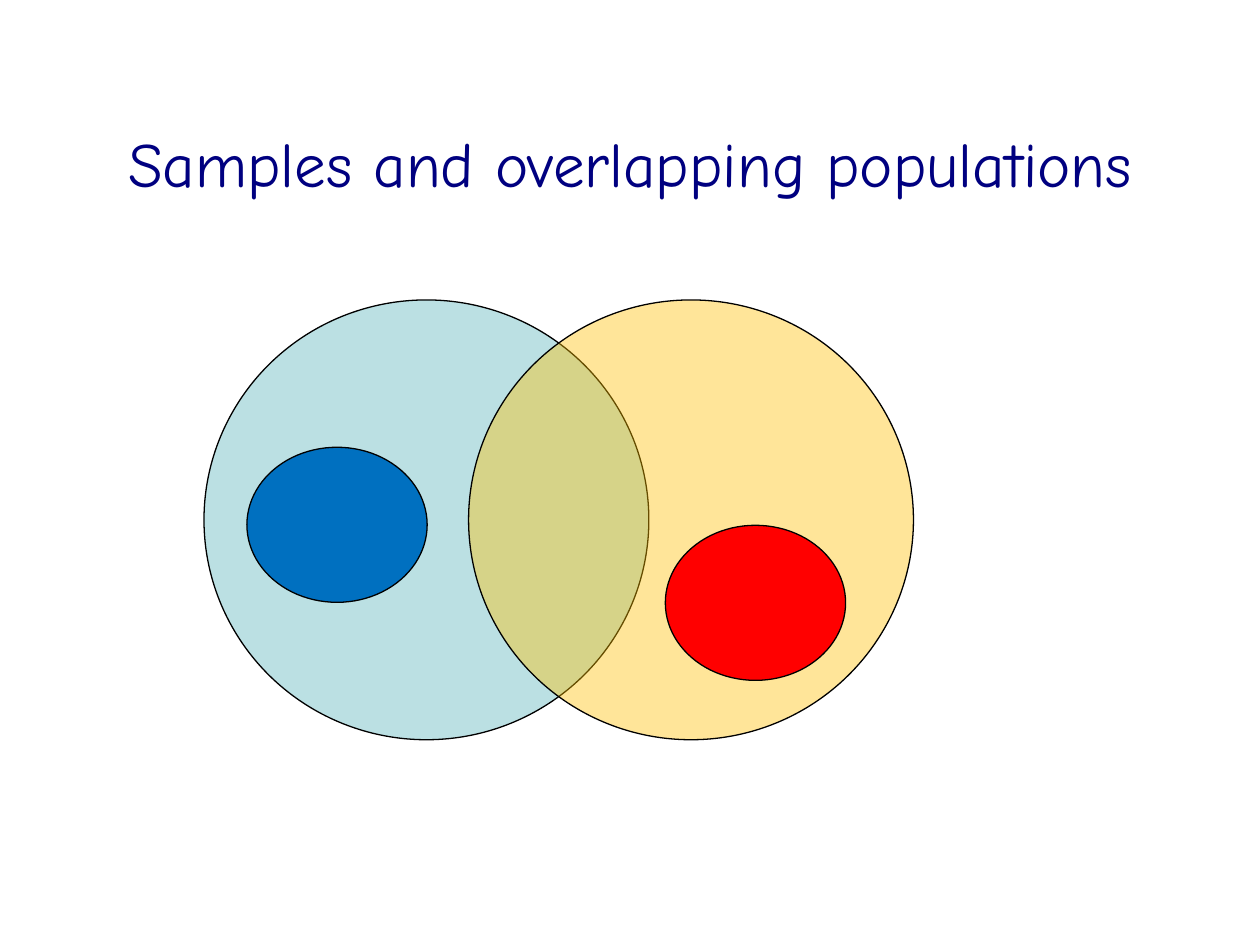
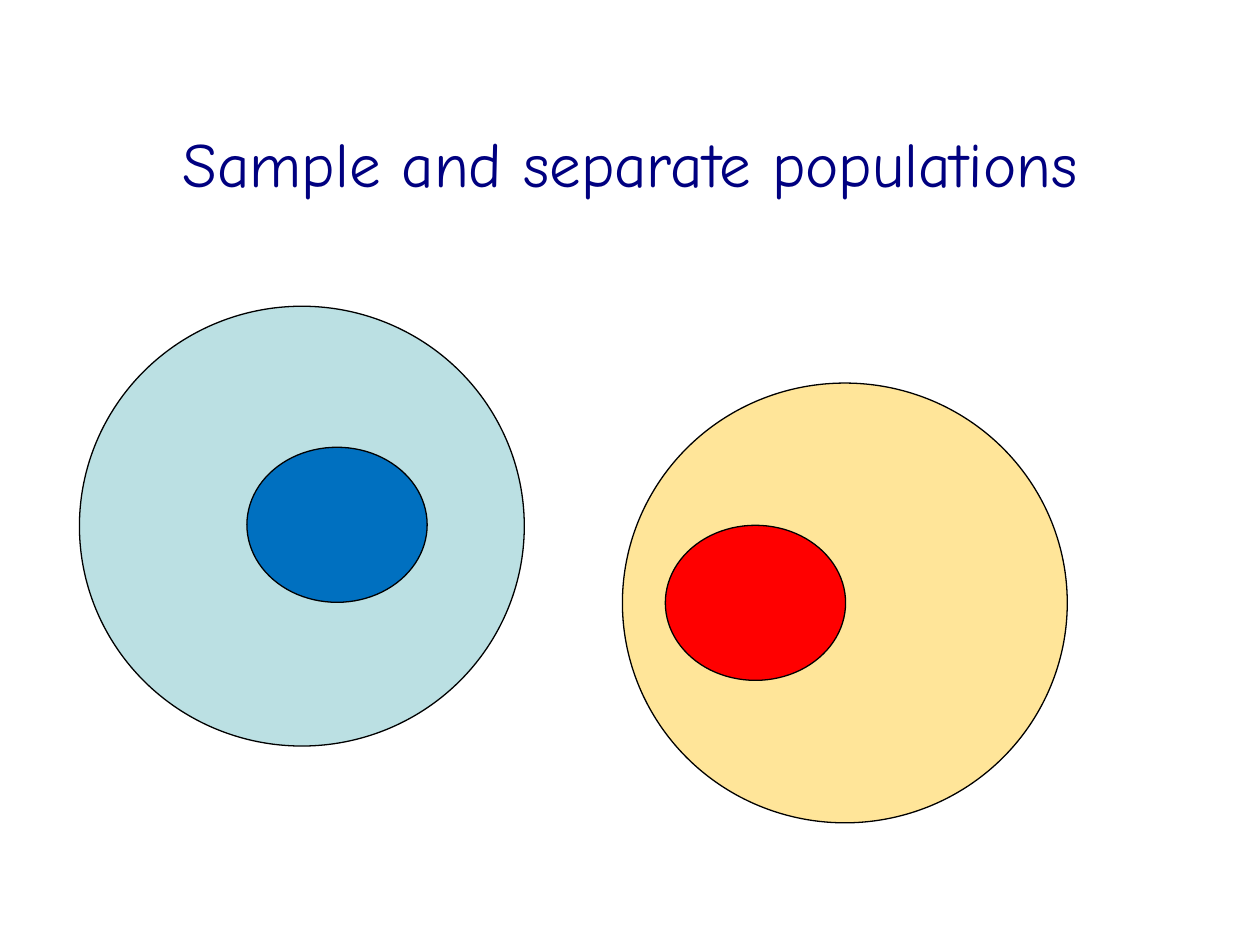
from dataclasses import dataclass

import pptx
import pptx.dml.color
import pptx.enum.shapes
import pptx.enum.text
import pptx.oxml
import pptx.oxml.ns
import pptx.util
from pptx.util import Pt


@dataclass(frozen=True)
class Theme:
    font: str = "Comic Neue"
    title_size: float = 36
    title_color: str = "000080"
    background: str = "FFFFFF"
    outline: str = "000000"
    outline_width: float = 0.75
    first_population: str = "BBE0E3"
    second_population: str = "FFC000"
    second_opacity: int = 40
    first_sample: str = "0070C0"
    second_sample: str = "FF0000"


THEME = Theme()
SLIDE_SIZE = (720, 540)
POPULATION_SIZE = (254.2, 251.3)
SAMPLE_SIZE = (103, 88.6)
FIRST_SAMPLE_AT = (141.1, 255.6)
SECOND_SAMPLE_AT = (380.2, 300.2)

# Title, then top left corners of the first and second population
SLIDES = [
    ("Samples and overlapping populations", (116.6, 171.4), (267.8, 171.4)),
    ("Sample and separate populations", (45.4, 175), (355.7, 218.9)),
]


def rgb(color):
    return pptx.dml.color.RGBColor.from_string(color)


def set_opacity(shape, percent):
    color = shape.fill._xPr.find(".//" + pptx.oxml.ns.qn("a:srgbClr"))
    alpha = pptx.oxml.parse_xml(
        f'<a:alpha {pptx.oxml.ns.nsdecls("a")} val="{percent * 1000}"/>'
    )
    color.append(alpha)


def add_title(slide, text):
    box = slide.shapes.add_textbox(Pt(0), Pt(48), Pt(SLIDE_SIZE[0]), Pt(90))
    frame = box.text_frame
    frame.word_wrap = True
    frame.vertical_anchor = pptx.enum.text.MSO_ANCHOR.MIDDLE
    paragraph = frame.paragraphs[0]
    paragraph.alignment = pptx.enum.text.PP_ALIGN.CENTER
    run = paragraph.add_run()
    run.text = text
    run.font.name = THEME.font
    run.font.size = Pt(THEME.title_size)
    run.font.color.rgb = rgb(THEME.title_color)


def add_ellipse(slide, position, size, color, opacity=100):
    shape = slide.shapes.add_shape(
        pptx.enum.shapes.MSO_SHAPE.OVAL,
        *(Pt(length) for length in (*position, *size)),
    )
    shape.shadow.inherit = False
    shape.fill.solid()
    shape.fill.fore_color.rgb = rgb(color)
    if opacity < 100:
        set_opacity(shape, opacity)
    shape.line.color.rgb = rgb(THEME.outline)
    shape.line.width = Pt(THEME.outline_width)


def add_populations_slide(presentation, title, first_at, second_at):
    slide = presentation.slides.add_slide(presentation.slide_layouts[6])
    slide.background.fill.solid()
    slide.background.fill.fore_color.rgb = rgb(THEME.background)
    add_title(slide, title)
    add_ellipse(slide, first_at, POPULATION_SIZE, THEME.first_population)
    add_ellipse(slide, second_at, POPULATION_SIZE,
                THEME.second_population, THEME.second_opacity)
    add_ellipse(slide, FIRST_SAMPLE_AT, SAMPLE_SIZE, THEME.first_sample)
    add_ellipse(slide, SECOND_SAMPLE_AT, SAMPLE_SIZE, THEME.second_sample)


def main():
    presentation = pptx.Presentation()
    presentation.slide_width, presentation.slide_height = map(Pt, SLIDE_SIZE)
    for title, first_at, second_at in SLIDES:
        add_populations_slide(presentation, title, first_at, second_at)
    presentation.save("out.pptx")


if __name__ == "__main__":
    main()
